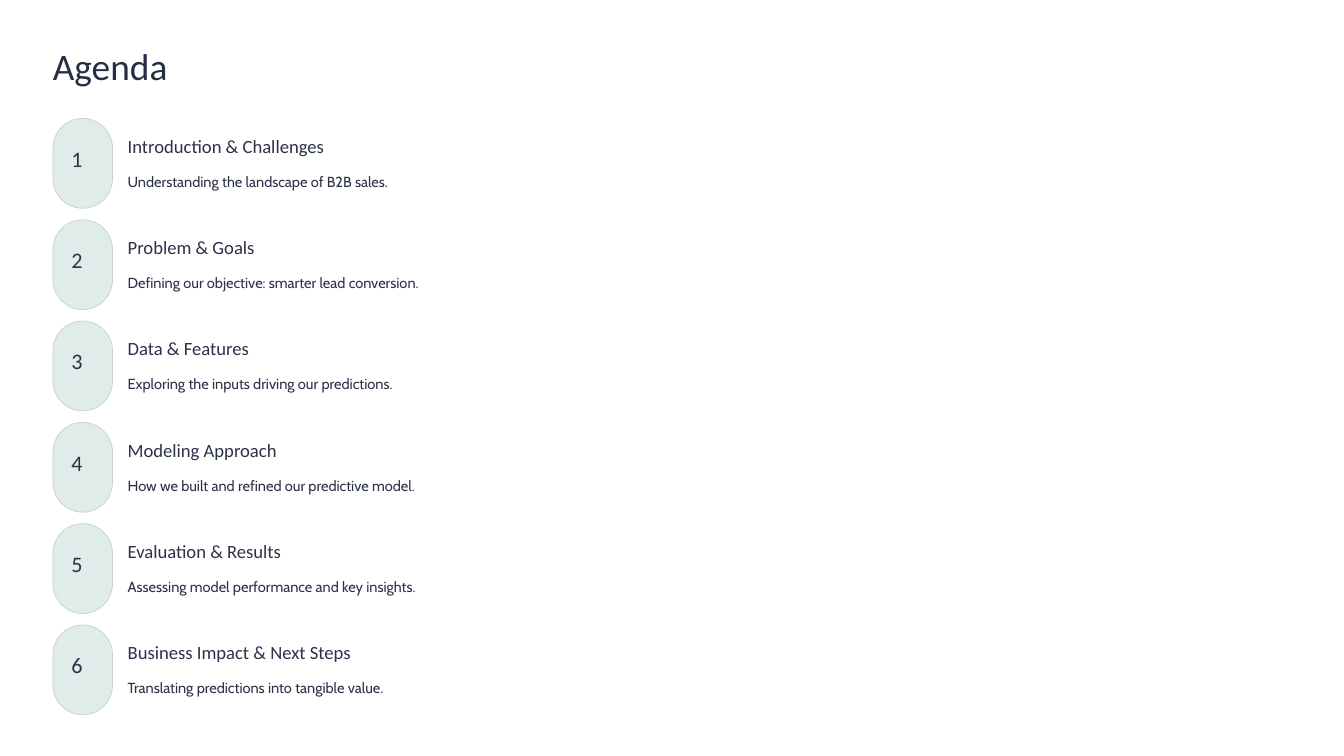
from pptx import Presentation
from pptx.dml.color import RGBColor
from pptx.enum import shapes, text
from pptx.util import Inches, Pt

TITLE_INK = RGBColor(0x27, 0x2D, 0x45)
INK = RGBColor(0x2C, 0x32, 0x49)
BADGE_FILL = RGBColor(0xDF, 0xEC, 0xE9)
BADGE_LINE = RGBColor(0xC5, 0xD2, 0xCF)

LEFT = 0.63
FIRST_TOP = 1.41
PITCH = 1.206

AGENDA = [
    ("Introduction & Challenges", "Understanding the landscape of B2B sales."),
    ("Problem & Goals", "Defining our objective: smarter lead conversion."),
    ("Data & Features", "Exploring the inputs driving our predictions."),
    ("Modeling Approach", "How we built and refined our predictive model."),
    ("Evaluation & Results", "Assessing model performance and key insights."),
    ("Business Impact & Next Steps", "Translating predictions into tangible value."),
]


def write(box, wording, *, size, leading, font="Calibri", color=INK):
    """Fill a text shape with one left-aligned line and no insets."""
    frame = box.text_frame
    frame.margin_left = frame.margin_right = 0
    frame.margin_top = frame.margin_bottom = 0
    frame.word_wrap = True
    frame.auto_size = text.MSO_AUTO_SIZE.NONE
    frame.vertical_anchor = text.MSO_ANCHOR.TOP
    para = frame.paragraphs[0]
    para.alignment = text.PP_ALIGN.LEFT
    para.line_spacing = Pt(leading)
    span = para.add_run()
    span.text = wording
    span.font.size = Pt(size)
    span.font.name = font
    span.font.color.rgb = color


def add_label(page, wording, left, top, width, height, **style):
    box = page.shapes.add_textbox(
        Inches(left), Inches(top), Inches(width), Inches(height))
    write(box, wording, **style)


def add_title(page, wording):
    title = page.shapes.title
    title.left, title.top = Inches(LEFT), Inches(0.49)
    title.width, title.height = Inches(4.47), Inches(0.56)
    write(title, wording, size=32, leading=40, color=TITLE_INK)


def add_badge(page, top):
    badge = page.shapes.add_shape(
        shapes.MSO_SHAPE.ROUNDED_RECTANGLE,
        Inches(LEFT), Inches(top), Inches(0.71), Inches(1.07))
    badge.adjustments[0] = 0.5
    badge.shadow.inherit = False
    badge.fill.solid()
    badge.fill.fore_color.rgb = BADGE_FILL
    badge.line.color.rgb = BADGE_LINE
    badge.line.width = Pt(0.6)


def add_agenda_item(page, number, heading, detail):
    top = FIRST_TOP + (number - 1) * PITCH
    add_badge(page, top)
    add_label(page, str(number), 0.85, top + 0.37, 0.27, 0.33,
              size=19, leading=19)
    add_label(page, heading, 1.52, top + 0.18, 2.88, 0.28,
              size=16, leading=20)
    add_label(page, detail, 1.52, top + 0.57, 13.86, 0.29,
              size=12.5, leading=20.5, font="Cabin")


def main():
    deck = Presentation()
    deck.slide_width, deck.slide_height = Inches(16), Inches(9)
    page = deck.slides.add_slide(deck.slide_layouts.get_by_name("Title Only"))
    add_title(page, "Agenda")
    for number, (heading, detail) in enumerate(AGENDA, start=1):
        add_agenda_item(page, number, heading, detail)
    deck.save("out.pptx")


if __name__ == "__main__":
    main()
